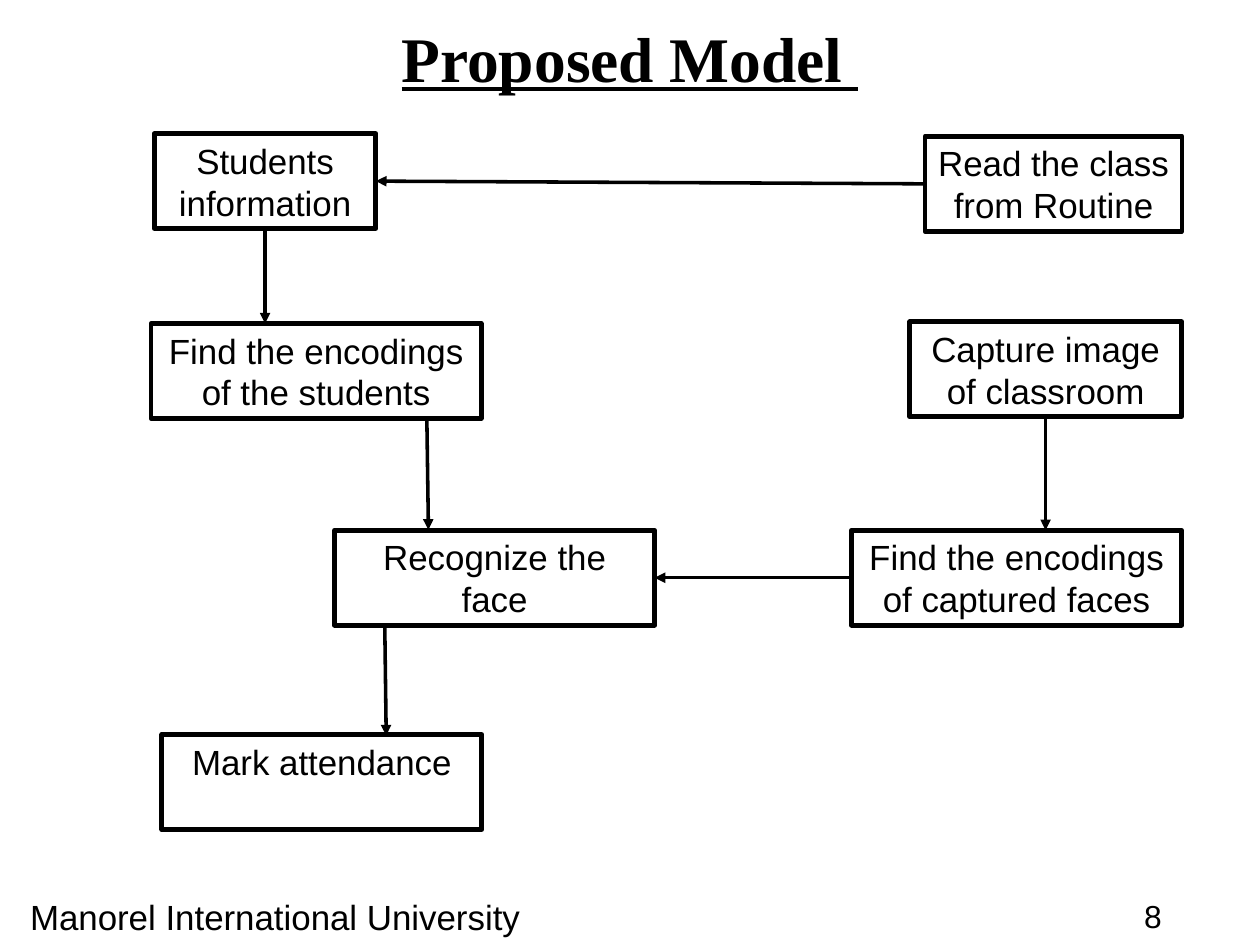
"""Draw the proposed model flowchart for classroom face attendance."""
from dataclasses import dataclass
from typing import Optional

import pptx
import pptx.dml.color
import pptx.enum.shapes
import pptx.enum.text
import pptx.oxml
import pptx.oxml.ns
import pptx.util

Pt = pptx.util.Pt
ANCHOR = pptx.enum.text.MSO_ANCHOR
TOP, LEFT, BOTTOM, RIGHT = range(4)
SLIDE_WIDTH, SLIDE_HEIGHT = 793.75, 595.25


@dataclass(frozen=True)
class Theme:
    ink: pptx.dml.color.RGBColor = pptx.dml.color.RGBColor(0, 0, 0)
    body_font: str = "Arial"
    title_font: str = "Times New Roman"
    title_size: float = 40
    body_size: float = 22
    number_size: float = 20
    box_line: float = 3
    arrow_line: float = 2.25
    box_height: float = 59.8


@dataclass(frozen=True)
class Box:
    text: str
    left: float
    top: float
    width: float


@dataclass(frozen=True)
class Label:
    text: str
    left: float
    top: float
    width: float
    height: float
    anchor: ANCHOR
    inset: tuple[float, float]
    font: dict


@dataclass(frozen=True)
class Arrow:
    start: tuple[float, float]
    end: tuple[float, float]
    source: Optional[tuple[str, int]] = None
    target: Optional[tuple[str, int]] = None


THEME = Theme()
BODY = {"name": THEME.body_font, "size": Pt(THEME.body_size)}
TITLE = {"name": THEME.title_font, "size": Pt(THEME.title_size), "bold": True, "underline": True}
NUMBER = {"name": THEME.body_font, "size": Pt(THEME.number_size)}

LABELS = [
    Label("Proposed Model ", 0, 8.2, SLIDE_WIDTH, 69.8, ANCHOR.TOP, (7.2, 3.6), TITLE),
    Label("Manorel International University", 7, 560, 332.6, 34.6, ANCHOR.MIDDLE, (0, 0), BODY),
    Label("8", 708.4, 560.9, 36, 32.4, ANCHOR.MIDDLE, (7.2, 3.6), NUMBER),
]

BOXES = {
    "students": Box("Students information", 97.2, 84.2, 139.6),
    "routine": Box("Read the class from Routine", 582.8, 85.9, 161.8),
    "student_encodings": Box("Find the encodings of the students", 95.2, 203.8, 208),
    "capture": Box("Capture image of classroom", 573.1, 202.7, 171.2),
    "recognize": Box("Recognize the face", 210.8, 334, 201.6),
    "face_encodings": Box("Find the encodings of captured faces", 536.4, 334, 208),
    "attendance": Box("Mark attendance", 102, 462.7, 201.6),
}

ARROWS = [
    Arrow((582.8, 115.8), (236.8, 114.1), ("routine", LEFT), ("students", RIGHT)),
    Arrow((167, 144), (167, 203.8), ("students", BOTTOM)),
    Arrow((658.7, 262.5), (658.7, 334), ("capture", BOTTOM)),
    Arrow((268.9, 263.6), (269.9, 333.7)),
    Arrow((536.4, 363.9), (412.4, 363.9), ("face_encodings", LEFT), ("recognize", RIGHT)),
    Arrow((242.4, 393.8), (243.3, 463.3)),
]


def write_text(s, text: str, font: dict, anchor: ANCHOR, inset: tuple[float, float]) -> None:
    tf = s.text_frame
    x, y = map(Pt, inset)
    frame = {
        "word_wrap": True, "vertical_anchor": anchor,
        "margin_left": x, "margin_right": x, "margin_top": y, "margin_bottom": y,
    }
    for name, value in frame.items():
        setattr(tf, name, value)
    p = tf.paragraphs[0]
    p.alignment = pptx.enum.text.PP_ALIGN.CENTER
    r = p.add_run()
    r.text = text
    for name, value in font.items():
        setattr(r.font, name, value)
    r.font.color.rgb = THEME.ink


def add_label(shapes, label: Label) -> None:
    s = shapes.add_textbox(*map(Pt, (label.left, label.top, label.width, label.height)))
    write_text(s, label.text, label.font, label.anchor, label.inset)


def add_box(shapes, box: Box):
    s = shapes.add_shape(
        pptx.enum.shapes.MSO_SHAPE.RECTANGLE,
        *map(Pt, (box.left, box.top, box.width, THEME.box_height)),
    )
    s.shadow.inherit = False
    s.fill.background()
    s.line.color.rgb = THEME.ink
    s.line.width = Pt(THEME.box_line)
    write_text(s, box.text, BODY, ANCHOR.TOP, (7.2, 3.6))
    return s


def add_arrow(shapes, arrow: Arrow, drawn: dict) -> None:
    s = shapes.add_connector(
        pptx.enum.shapes.MSO_CONNECTOR.STRAIGHT, *map(Pt, arrow.start + arrow.end)
    )
    for join, joint in ((s.begin_connect, arrow.source), (s.end_connect, arrow.target)):
        if joint:
            name, side = joint
            join(drawn[name], side)
    s.line.color.rgb = THEME.ink
    s.line.width = Pt(THEME.arrow_line)
    namespace = pptx.oxml.ns.nsdecls("a")
    s.line._get_or_add_ln().append(
        pptx.oxml.parse_xml(f'<a:tailEnd {namespace} type="triangle"/>')
    )
    s._element.spPr.append(pptx.oxml.parse_xml(f"<a:effectLst {namespace}/>"))


def main() -> None:
    prs = pptx.Presentation()
    prs.slide_width, prs.slide_height = Pt(SLIDE_WIDTH), Pt(SLIDE_HEIGHT)
    shapes = prs.slides.add_slide(prs.slide_layouts[6]).shapes
    for label in LABELS:
        add_label(shapes, label)
    drawn = {name: add_box(shapes, box) for name, box in BOXES.items()}
    for arrow in ARROWS:
        add_arrow(shapes, arrow, drawn)
    prs.save("out.pptx")


if __name__ == "__main__":
    main()
